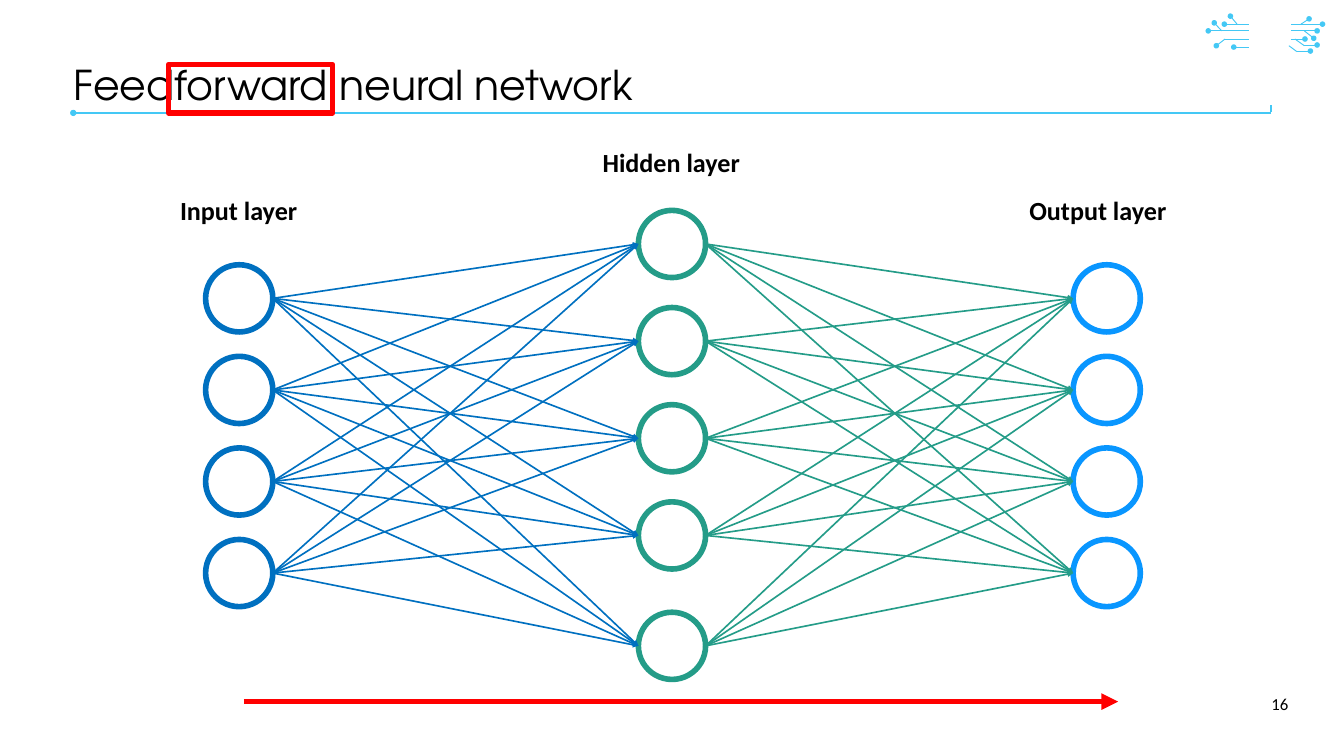
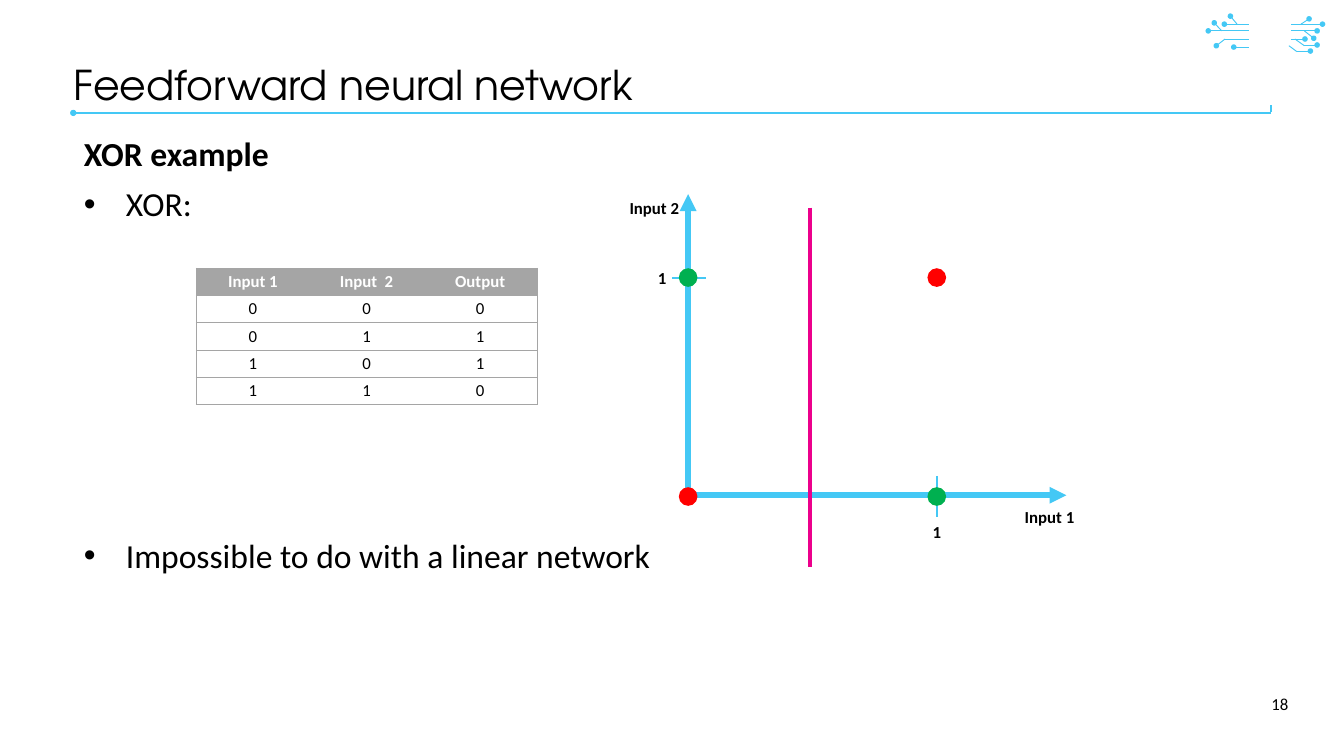
from dataclasses import dataclass

from lxml.etree import SubElement
from pptx import Presentation
from pptx.dml.color import RGBColor as Rgb
from pptx.enum.shapes import MSO_CONNECTOR as Connector, MSO_SHAPE as Shape
from pptx.enum.text import MSO_ANCHOR as Anchor, PP_ALIGN as Align
from pptx.oxml.ns import qn
from pptx.util import Pt


@dataclass(frozen=True)
class Theme:
    black: str = "000000"
    white: str = "FFFFFF"
    sky: str = "44C8F5"
    blue: str = "0070C0"
    teal: str = "249C88"
    azure: str = "0996FF"
    red: str = "FF0000"
    green: str = "00B050"
    pink: str = "EC008C"
    gray: str = "A5A5A5"
    heading_font: str = "TeX Gyre Adventor"
    body_font: str = "Calibri"
    title_size: int = 44
    body_size: int = 36
    label_size: int = 28
    small_size: int = 18


theme = Theme()


def add_text(holder, text, at=None, size=theme.small_size, font=theme.body_font,
             color=theme.black, bold=False, align=None, anchor=None, wrap=True,
             inset=None, spacing=None, before=None, bullet=False):
    """Write a paragraph into holder, or into a new box on it when at is given."""
    if at:
        holder = holder.shapes.add_textbox(*map(Pt, at))
        holder.text_frame.word_wrap = wrap
    frame = holder.text_frame
    if anchor is not None:
        frame.vertical_anchor = anchor
    if inset is not None:
        frame.margin_left = frame.margin_right = Pt(inset)
        frame.margin_top = frame.margin_bottom = Pt(inset)
    para = frame.add_paragraph() if frame.text else frame.paragraphs[0]
    if bullet:
        properties = para._p.get_or_add_pPr()
        properties.set("marL", str(Pt(45)))
        properties.set("indent", str(-Pt(45)))
        SubElement(properties, qn("a:buFont"), typeface="Arial")
        SubElement(properties, qn("a:buChar"), char="•")
    para.alignment = align
    if spacing:
        para.line_spacing = spacing
    if before:
        para.space_before = Pt(before)
    span = para.add_run()
    span.text = text
    span.font.name = font
    span.font.size = Pt(size)
    span.font.bold = bold
    span.font.color.rgb = Rgb.from_string(color)
    return holder


def add_line(page, start, end, color, width, head=None, tail=None):
    line = page.shapes.add_connector(Connector.STRAIGHT, *map(Pt, (*start, *end)))
    line.line.color.rgb = Rgb.from_string(color)
    line.line.width = Pt(width)
    for tag, kind in (("a:headEnd", head), ("a:tailEnd", tail)):
        if kind:
            SubElement(line.line._ln, qn(tag), type=kind)
    SubElement(line._element.spPr, qn("a:effectLst"))


deck = Presentation()
deck.slide_width, deck.slide_height = Pt(1440), Pt(810)

# Circuit ornament: traces ending in a dot, then plain traces
dotted_traces = [
    ((1337.8, 25.9), (1311.8, 25.9)), ((1337.8, 33.1), (1294.6, 33.1)),
    ((1312.6, 41.8), (1303.2, 49)), ((1337.8, 50.4), (1321.9, 50.4)),
    ((1325.5, 25.9), (1318.3, 17.3)), ((1309, 33.1), (1301, 24.5)),
    ((1383.1, 33.1), (1411.2, 33.1)), ((1396.8, 48.2), (1411.2, 48.2)),
    ((1383.1, 41.8), (1398.2, 41.8)), ((1397.5, 33.1), (1407.6, 41)),
    ((1383.1, 25.9), (1417, 25.9)), ((1389.6, 54.7), (1404, 54.7)),
    ((1393.9, 25.9), (1402.6, 20.2)),
]
plain_traces = [
    ((1337.8, 41.8), (1311.8, 41.8)), ((1397.5, 49), (1387.4, 41.8)),
    ((1389.6, 55.4), (1381, 49)),
]

# Shared frame of both slides: ornament, title with rule, slide number
pages = []
for number in ("16", "18"):
    page = deck.slides.add_slide(deck.slide_layouts[6])
    for traces, ending in ((dotted_traces, "oval"), (plain_traces, None)):
        for start, end in traces:
            add_line(page, start, end, theme.sky, 1, tail=ending)
    add_line(page, (78.5, 121), (1361.5, 121), theme.sky, 2.25, head="oval")
    add_line(page, (1361.5, 120.5), (1361.5, 113), theme.sky, 2.25)
    add_text(page, "Feedforward neural network", at=(78.5, 69.8, 1180, 49.7),
             size=theme.title_size, font=theme.heading_font, inset=0, spacing=0.9)
    add_text(page, number, at=(1309, 733, 78.5, 43.2), align=Align.RIGHT,
             anchor=Anchor.MIDDLE)
    pages.append(page)
network_page, xor_page = pages

# Network layers: label, label box, left edge, neuron tops, colour
diameter = 72
outer_tops = [283.7 + 98.1 * row for row in range(4)]
hidden_tops = [225.4 + 104.1 * row for row in range(4)] + [656]
layers = [
    ("Input layer", (185.8, 204.5, 141.8, 41), 220.3, outer_tops, theme.blue),
    ("Hidden layer", (638.6, 153.4, 163.4, 41), 684, hidden_tops, theme.teal),
    ("Output layer", (1095.8, 204.5, 162.7, 41), 1149.8, outer_tops, theme.azure),
]
for label, label_box, left, tops, color in layers:
    add_text(network_page, label, at=label_box, size=theme.label_size, bold=True,
             wrap=False)
    for top in tops:
        neuron = network_page.shapes.add_shape(
            Shape.OVAL, Pt(left), Pt(top), Pt(diameter), Pt(diameter))
        neuron.shadow.inherit = False
        neuron.fill.background()
        neuron.line.color.rgb = Rgb.from_string(color)
        neuron.line.width = Pt(6)

# Every neuron feeds every neuron of the next layer
for source, target in zip(layers, layers[1:]):
    _, _, source_left, source_tops, color = source
    _, _, target_left, target_tops, _ = target
    for target_top in target_tops:
        for source_top in source_tops:
            add_line(network_page,
                     (source_left + diameter, source_top + diameter / 2),
                     (target_left, target_top + diameter / 2),
                     color, 1.75, tail="triangle")

# Forward direction: framed word and arrow
word_frame = network_page.shapes.add_shape(
    Shape.RECTANGLE, Pt(180.7), Pt(69.1), Pt(175.7), Pt(51.8))
word_frame.shadow.inherit = False
word_frame.fill.background()
word_frame.line.color.rgb = Rgb.from_string(theme.red)
word_frame.line.width = Pt(6)
add_line(network_page, (261.4, 751.7), (1198, 751.7), theme.red, 6, tail="triangle")

# XOR text, leaving room for the table before the last point
body = add_text(xor_page, "XOR example", at=(82.8, 143.3, 1305.4, 481),
                size=theme.body_size, bold=True, spacing=0.9)
for text, before in (("XOR:", 15), ("Impossible to do with a linear network", 338)):
    add_text(body, text, size=theme.body_size, spacing=0.9, before=before, bullet=True)

# Truth table with row rules and an outer border
truth_rows = [("Input 1", "Input  2", "Output")]
truth_rows += [(str(a), str(b), str(a ^ b)) for a in (0, 1) for b in (0, 1)]
table = xor_page.shapes.add_table(
    5, 3, Pt(210.2), Pt(287.3), Pt(365.1), Pt(146)).table
table.first_row = table.horz_banding = False
for column in table.columns:
    column.width = Pt(121.7)
for row_index, values in enumerate(truth_rows):
    table.rows[row_index].height = Pt(29.2)
    is_header = row_index == 0
    for column_index, value in enumerate(values):
        cell = table.cell(row_index, column_index)
        add_text(cell, value, bold=is_header, align=Align.CENTER,
                 color=theme.white if is_header else theme.black)
        properties = cell._tc.get_or_add_tcPr()
        edges = {"L": column_index == 0, "R": column_index == 2, "T": True, "B": True}
        for side, visible in edges.items():
            border = SubElement(properties, qn(f"a:ln{side}"), w=str(Pt(0.5)))
            if visible:
                paint = SubElement(border, qn("a:solidFill"))
                SubElement(paint, qn("a:srgbClr"), val=theme.gray)
            else:
                SubElement(border, qn("a:noFill"))
        cell.fill.solid()
        cell.fill.fore_color.rgb = Rgb.from_string(
            theme.gray if is_header else theme.white)

# Axes with labels and unit ticks
origin_x, origin_y = 737.3, 530.6
unit_x, unit_y = 1003.7, 297.4
for tip in ((origin_x, 208.1), (1142.6, origin_y)):
    add_line(xor_page, (origin_x, origin_y), tip, theme.sky, 6, tail="triangle")
for label, left, top, width in (("Input 2", 667.4, 208.1, 68.4),
                                ("Input 1", 1090.8, 539.3, 68.4),
                                ("1", 697.7, 283, 22.3),
                                ("1", 992.2, 555.8, 22.3)):
    add_text(xor_page, label, at=(left, top, width, 28.8), bold=True, wrap=False)
add_line(xor_page, (unit_x, 509.8), (unit_x, 553.7), theme.sky, 2.25)
add_line(xor_page, (720, unit_y), (756, unit_y), theme.sky, 2.25)

# XOR points: red for output 0, green for output 1
dot_size = 20
for x, y, color in ((origin_x, 532, theme.red), (unit_x, unit_y, theme.red),
                    (origin_x, unit_y, theme.green), (unit_x, 532, theme.green)):
    dot = xor_page.shapes.add_shape(
        Shape.OVAL, Pt(x - dot_size / 2), Pt(y - dot_size / 2),
        Pt(dot_size), Pt(dot_size))
    dot.shadow.inherit = False
    dot.fill.solid()
    dot.fill.fore_color.rgb = Rgb.from_string(color)
    dot.line.fill.background()

# Attempted linear boundary
add_line(xor_page, (868.3, 222.5), (868.3, 607), theme.pink, 4.5)

deck.save("out.pptx")
